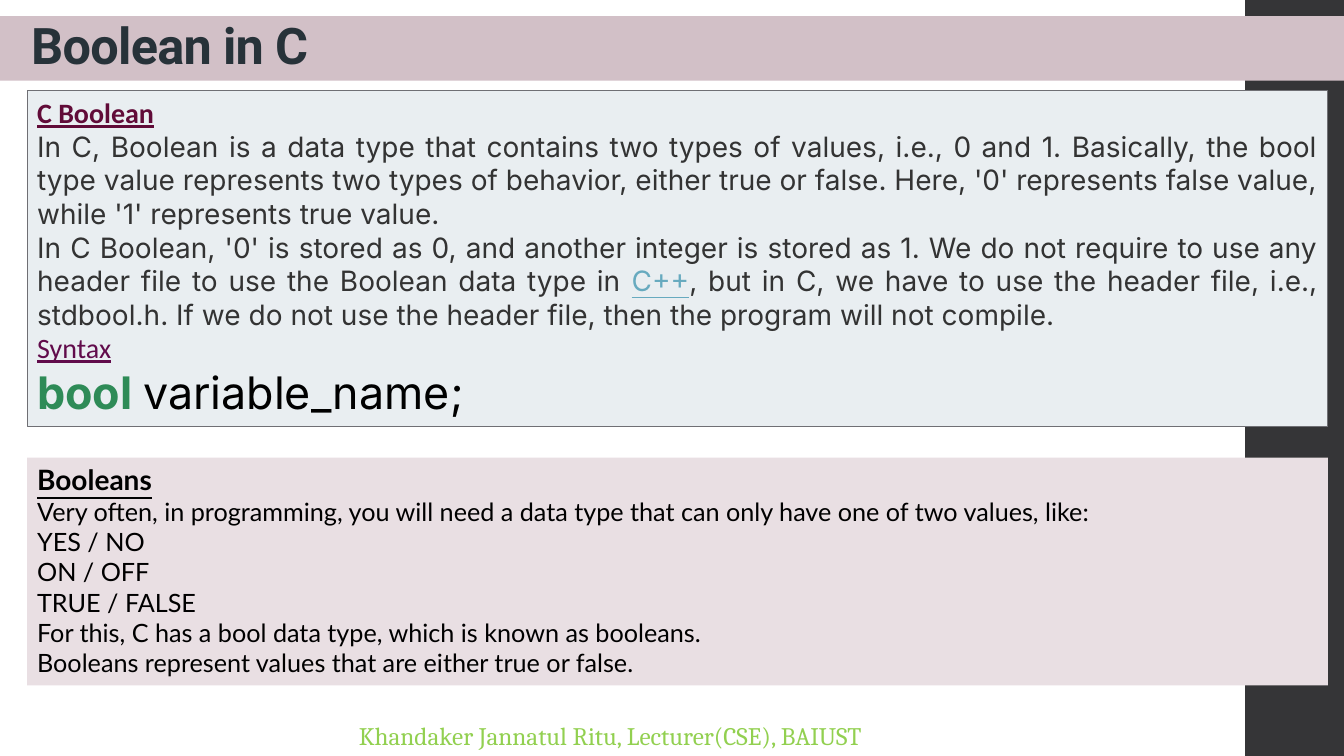
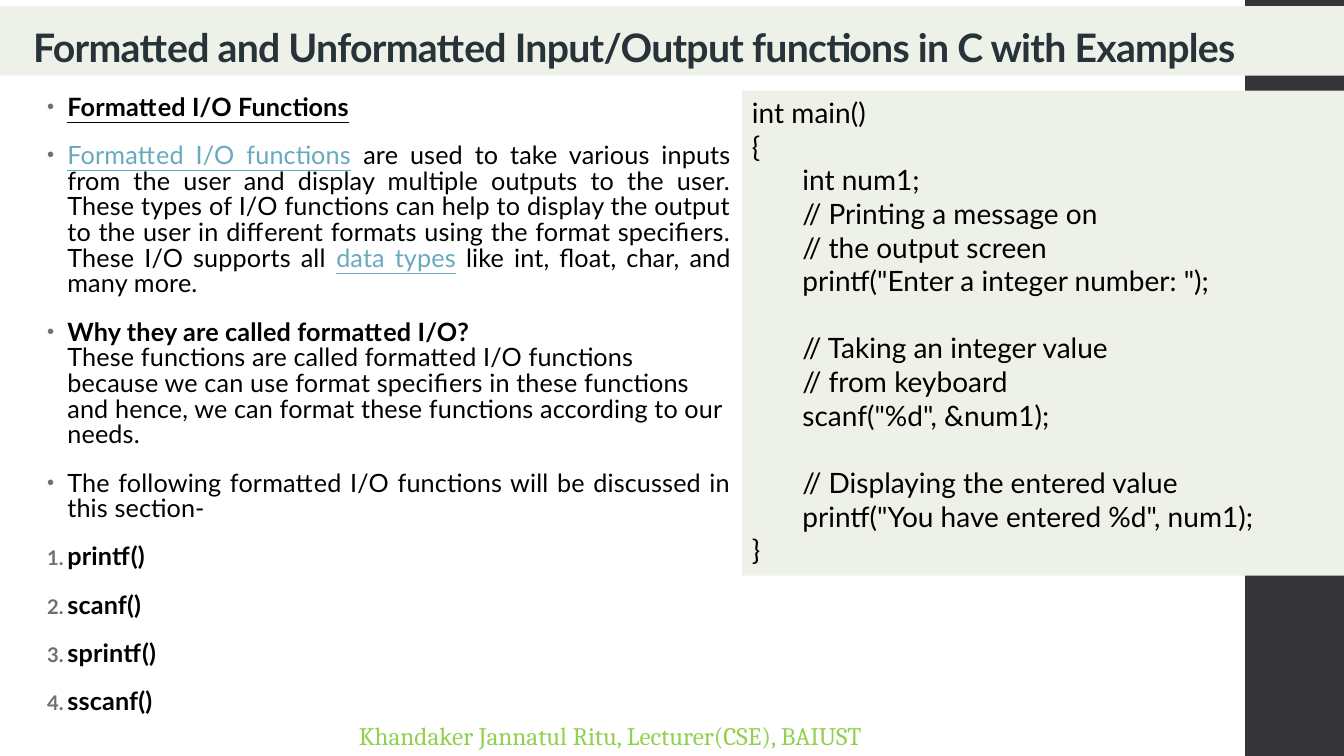
from dataclasses import dataclass, replace

import lxml.etree
import pptx
import pptx.dml.color
import pptx.enum.shapes
import pptx.enum.text
import pptx.oxml.ns
import pptx.util

Inches = pptx.util.Inches
LEFT = pptx.enum.text.PP_ALIGN.LEFT
JUST = pptx.enum.text.PP_ALIGN.JUSTIFY
TOP = pptx.enum.text.MSO_ANCHOR.TOP
BOTTOM = pptx.enum.text.MSO_ANCHOR.BOTTOM

WIDE, HIGH = 13.33, 7.5
BLACK, WHITE, DARK, SLATE = "000000", "FFFFFF", "353537", "273239"
LINK, GRAY, LIME, INK = "67AABF", "6F6F74", "92D050", "333333"
PINK, BLUSH, MIST, SAGE = "D2C0C7", "E9DFE3", "E9EEF1", "EDF1E7"


@dataclass(frozen=True)
class Run:
    text: str
    size: float = 18
    font: str = "Lato"
    color: str = BLACK
    bold: bool = False
    under: bool = False
    track: float = 0  # letter spacing in points


@dataclass(frozen=True)
class Para:
    runs: tuple[Run, ...]
    align: int = LEFT
    lines: float = 1
    before: float = 0
    after: float = 0
    bullet: str = ""  # "•" or "1."
    tab: float = 0


@dataclass(frozen=True)
class Box:
    left: float
    top: float
    width: float
    height: float
    fill: str = ""
    line: str = ""
    anchor: int = TOP
    inset: float = 0.1


def paint(color: str) -> pptx.dml.color.RGBColor:
    return pptx.dml.color.RGBColor.from_string(color)


def node(parent, tag: str, **attrs: str):
    """Append one drawing element to its parent."""
    return lxml.etree.SubElement(parent, pptx.oxml.ns.qn(f"a:{tag}"), attrs)


def mark(props, bullet: str) -> None:
    """Give a paragraph its hanging bullet or number."""
    hang = Inches(0.2)
    props.set("marL", str(hang))
    props.set("indent", str(-hang))
    node(node(props, "buClr"), "srgbClr", val=GRAY)
    node(props, "buSzPct", val="80000")
    if bullet == "1.":
        node(props, "buAutoNum", type="arabicPeriod")
    else:
        node(props, "buFont", typeface="Arial")
        node(props, "buChar", char=bullet)


def add_run(line, run: Run) -> None:
    part = line.add_run()
    part.text = run.text
    font = part.font
    font.size = pptx.util.Pt(run.size)
    font.name = run.font
    font.bold = run.bold
    font.underline = run.under
    font.color.rgb = paint(run.color)
    if run.track:
        font._element.set("spc", str(round(run.track * 100)))


def add_para(line, para: Para) -> None:
    props = line._p.get_or_add_pPr()
    if para.bullet:
        mark(props, para.bullet)
    if para.tab:
        node(node(props, "tabLst"), "tab", pos=str(Inches(para.tab)), algn="l")
    line.alignment = para.align
    line.line_spacing = para.lines
    line.space_before = pptx.util.Pt(para.before)
    line.space_after = pptx.util.Pt(para.after)
    for run in para.runs:
        if run.text == "\n":
            line.add_line_break()
        else:
            add_run(line, run)


def add_box(slide, box: Box, paras: tuple[Para, ...] = ()) -> None:
    """Draw a filled panel, or a plain text box when there is no fill."""
    place = [Inches(n) for n in (box.left, box.top, box.width, box.height)]
    if box.fill:
        kind = pptx.enum.shapes.MSO_SHAPE.RECTANGLE
        shape = slide.shapes.add_shape(kind, *place)
        shape.shadow.inherit = False
        shape.fill.solid()
        shape.fill.fore_color.rgb = paint(box.fill)
        if box.line:
            shape.line.color.rgb = paint(box.line)
            shape.line.width = pptx.util.Pt(0.75)
        else:
            shape.line.fill.background()
    else:
        shape = slide.shapes.add_textbox(*place)
    frame = shape.text_frame
    frame.word_wrap = True
    frame.vertical_anchor = box.anchor
    frame.margin_left = Inches(box.inset)
    for i, para in enumerate(paras):
        add_para(frame.add_paragraph() if i else frame.paragraphs[0], para)


def add_slide(deck, band: Box, title: Run):
    """Start a slide with the side stripe, title band and footer."""
    slide = deck.slides.add_slide(deck.slide_layouts[6])
    add_box(slide, Box(12.35, 0, 1, HIGH, DARK))
    head = replace(title, color=SLATE, bold=True, track=-0.5)
    add_box(slide, replace(band, anchor=BOTTOM), (Para((head,), lines=0.9),))
    foot = Run("Khandaker Jannatul Ritu, Lecturer(CSE), BAIUST",
               font="Cambria", color=LIME)
    add_box(slide, Box(3.46, 7.1, 7.41, 0.4), (Para((foot,)),))
    return slide


def add_bool(deck) -> None:
    slide = add_slide(deck, Box(0, 0.16, WIDE, 0.64, PINK, inset=0.31),
                      Run("Boolean in C", 36, "Roboto"))
    body = Run("", 20, "Inter", INK)
    intro = (
        (Run("C Boolean", 20, "Calibri", "610B38", True, True),),
        (replace(body, text="In C, Boolean is a data type that contains two types of "
                 "values, i.e., 0 and 1. Basically, the bool type value represents two "
                 "types of behavior, either true or false. Here, '0' represents false "
                 "value, while '1' represents true value."),),
        (replace(body, text="In C Boolean, '0' is stored as 0, and another integer is "
                 "stored as 1. We do not require to use any header file to use the "
                 "Boolean data type in "),
         replace(body, text="C++", color=LINK, under=True),
         replace(body, text=", but in C, we have to use the header file, i.e., "
                 "stdbool.h. If we do not use the header file, then the program will "
                 "not compile.")),
        (Run("Syntax", 20, "Calibri", "610B4B", under=True),),
        (Run("bool ", 32, "Inter", "2E8B57", True), Run("variable_name;", 32, "Inter")),
    )
    add_box(slide, Box(0.27, 0.9, 12.9, 3.33, MIST, GRAY),
            tuple(Para(runs, JUST) for runs in intro))

    facts = (
        "Very often, in programming, you will need a data type that can only have "
        "one of two values, like:",
        "YES / NO",
        "ON / OFF",
        "TRUE / FALSE",
        "For this, C has a bool data type, which is known as booleans.",
        "Booleans represent values that are either true or false.",
    )
    head = Run("Booleans", 20, bold=True, under=True)
    add_box(slide, Box(0.27, 4.54, 12.9, 2.26, BLUSH),
            tuple(Para((run,)) for run in (head, *map(Run, facts))))


CODE = """int main()
{
\tint num1;
\t// Printing a message on
\t// the output screen
\tprintf("Enter a integer number: ");

\t// Taking an integer value
\t// from keyboard
\tscanf("%d", &num1);

\t// Displaying the entered value
\tprintf("You have entered %d", num1);
}"""


def code_paras(code: str, size: float) -> tuple[Para, ...]:
    """Turn code into paragraphs; an empty line becomes space before the next."""
    paras, gap = [], 0.0
    for text in code.split("\n"):
        if text:
            paras.append(Para((Run(text, size),), before=gap, tab=0.5))
            gap = 0.0
        else:
            gap += size * 1.2
    return tuple(paras)


def add_format(deck) -> None:
    slide = add_slide(
        deck, Box(0, 0.06, WIDE, 0.69, SAGE, inset=0.33),
        Run("Formatted and Unformatted Input/Output functions in C with Examples", 28))
    body = Run("", track=0.1)
    bold = replace(body, bold=True)
    link = replace(body, color=LINK, under=True)
    item = Para((), JUST, 0.85, 14, 2, "•")
    points = (
        replace(item, before=0, runs=(
            replace(bold, text="Formatted I/O Functions", under=True),)),
        replace(item, runs=(
            replace(link, text="Formatted I/O functions"),
            replace(body, text=" are used to take various inputs from the user and "
                    "display multiple outputs to the user. These types of I/O functions "
                    "can help to display the output to the user in different formats "
                    "using the format specifiers. These I/O supports all "),
            replace(link, text="data types"),
            replace(body, text=" like int, float, char, and many more."))),
        replace(item, align=LEFT, runs=(
            replace(bold, text="Why they are called formatted I/O?"),
            Run("\n"),
            replace(body, text="These functions are called formatted I/O functions "
                    "because we can use format specifiers in these functions and hence, "
                    "we can format these functions according to our needs."))),
        replace(item, runs=(
            replace(body, text="The following formatted I/O functions will be "
                    "discussed in this section-"),)),
    )
    calls = tuple(replace(item, bullet="1.", runs=(replace(bold, text=name),))
                  for name in ("printf()", "scanf()", "sprintf()", "sscanf()"))
    add_box(slide, Box(0.37, 0.9, 6.98, 6.2), points + calls)
    add_box(slide, Box(7.36, 0.9, 5.98, 4.81, SAGE), code_paras(CODE, 20))


def main() -> None:
    deck = pptx.Presentation()
    deck.slide_width, deck.slide_height = Inches(WIDE), Inches(HIGH)
    fill = deck.slide_master.background.fill
    fill.solid()
    fill.fore_color.rgb = paint(WHITE)
    add_bool(deck)
    add_format(deck)
    deck.save("out.pptx")


if __name__ == "__main__":
    main()
